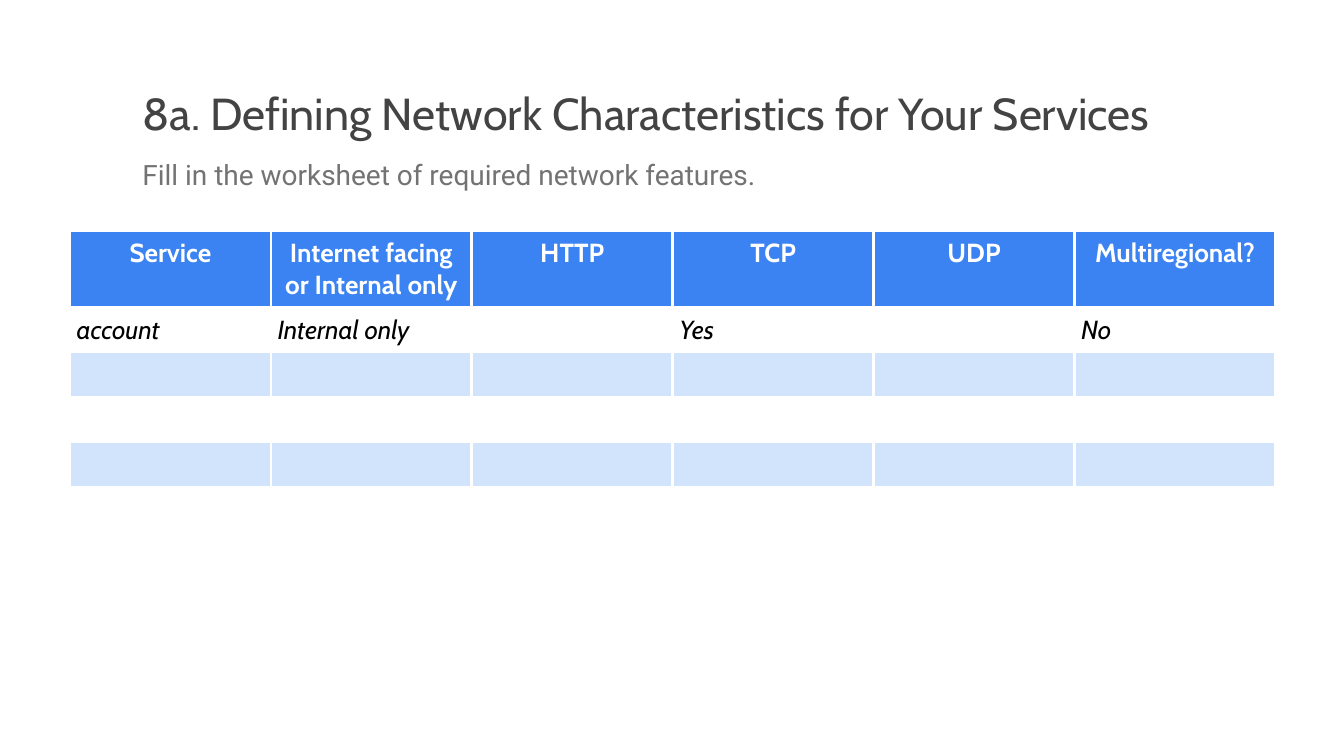
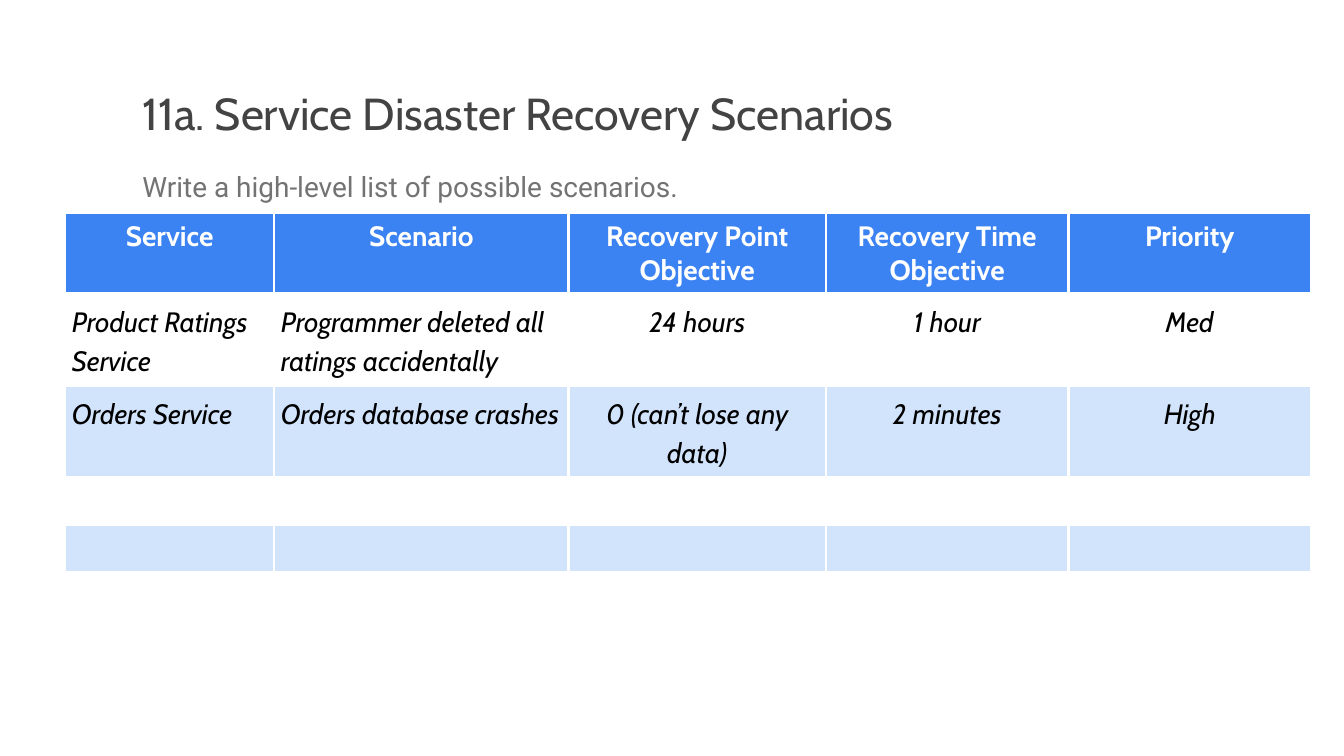
import pptx
import pptx.dml.color
import pptx.enum.text
import pptx.oxml
import pptx.oxml.ns
import pptx.util
from pptx.util import Inches

RGBColor = pptx.dml.color.RGBColor
Align = pptx.enum.text.PP_ALIGN

WHITE = RGBColor(0xFF, 0xFF, 0xFF)
BLACK = RGBColor(0x00, 0x00, 0x00)
TITLE_GRAY = RGBColor(0x43, 0x43, 0x43)
SUBTITLE_GRAY = RGBColor(0x73, 0x73, 0x73)
HEADER_BLUE = RGBColor(0x3B, 0x83, 0xF3)
BAND_BLUE = RGBColor(0xD2, 0xE3, 0xFC)

HEADING_FONT = "Cabin"
BODY_FONT = "Roboto"
MARGIN = Inches(0.1)
BORDER_WIDTH = pptx.util.Pt(3)


class Worksheet:
    def __init__(self, presentation):
        self.presentation = presentation
        self.slide = None

    def add_slide(self):
        self.slide = self.presentation.slides.add_slide(self.presentation.slide_layouts[6])

    def style(self, paragraph, size, color, font=HEADING_FONT, bold=False, italic=False):
        paragraph.font.name = font
        paragraph.font.size = pptx.util.Pt(size)
        paragraph.font.color.rgb = color
        paragraph.font.bold = bold
        paragraph.font.italic = italic

    def add_text(self, text, left, top, width, height):
        box = self.slide.shapes.add_textbox(Inches(left), Inches(top), Inches(width), Inches(height))
        frame = box.text_frame
        frame.word_wrap = True
        frame.margin_left = frame.margin_right = MARGIN
        frame.margin_top = frame.margin_bottom = MARGIN
        paragraph = frame.paragraphs[0]
        paragraph.text = text
        return paragraph

    def add_title(self, text, width):
        self.style(self.add_text(text, 2.02, 1.18, width, 1.18), 48, TITLE_GRAY)

    def add_subtitle(self, text, top, width, height):
        paragraph = self.add_text(text, 2.02, top, width, height)
        paragraph.line_spacing = 1.15
        paragraph.space_after = pptx.util.Pt(16)
        self.style(paragraph, 30, SUBTITLE_GRAY, BODY_FONT)

    def add_borders(self, cell):
        properties = cell._tc.get_or_add_tcPr()
        for index, side in enumerate(("lnL", "lnR", "lnT", "lnB")):
            properties.insert(index, pptx.oxml.parse_xml(
                f'<a:{side} {pptx.oxml.ns.nsdecls("a")} w="{BORDER_WIDTH}"><a:solidFill>'
                f'<a:srgbClr val="{WHITE}"/></a:solidFill></a:{side}>'))

    def fill_cell(self, cell, row_index):
        if row_index % 2 and row_index:
            cell.fill.background()
        else:
            cell.fill.solid()
            cell.fill.fore_color.rgb = BAND_BLUE if row_index else HEADER_BLUE

    def add_table(self, left, top, column_widths, row_heights, rows, size,
                  line_spacing=None, centered_columns=()):
        table = self.slide.shapes.add_table(
            len(row_heights), len(column_widths), Inches(left), Inches(top),
            Inches(sum(column_widths)), Inches(sum(row_heights))).table
        table.first_row = table.horz_banding = False
        for column, width in zip(table.columns, column_widths):
            column.width = Inches(width)
        for row_index, height in enumerate(row_heights):
            table.rows[row_index].height = Inches(height)
            texts = rows[row_index] if row_index < len(rows) else [""] * len(column_widths)
            for column_index, text in enumerate(texts):
                cell = table.cell(row_index, column_index)
                cell.margin_left = cell.margin_right = MARGIN
                cell.margin_top = cell.margin_bottom = MARGIN
                self.fill_cell(cell, row_index)
                self.add_borders(cell)
                if not text:
                    continue
                cell.text = text
                paragraph = cell.text_frame.paragraphs[0]
                header = row_index == 0
                self.style(paragraph, size, WHITE if header else BLACK,
                           bold=header, italic=not header)
                if header or column_index in centered_columns:
                    paragraph.alignment = Align.CENTER
                if line_spacing and not header:
                    paragraph.line_spacing = line_spacing


def main():
    presentation = pptx.Presentation()
    presentation.slide_width = Inches(20)
    presentation.slide_height = Inches(11.25)
    worksheet = Worksheet(presentation)

    worksheet.add_slide()
    worksheet.add_title("8a. Defining Network Characteristics for Your Services", 17.73)
    worksheet.add_subtitle("Fill in the worksheet of required network features.", 2.17, 13.66, 0.55)
    network_rows = [
        ["Service", "Internet facing or Internal only", "HTTP", "TCP", "UDP", "Multiregional?"],
        ["account", "Internal only", "", "Yes", "", "No"],
    ]
    worksheet.add_table(1.04, 3.43, [2.99] * 6, [1.14] + [0.67] * 5, network_rows, 28)

    worksheet.add_slide()
    worksheet.add_title("11a. Service Disaster Recovery Scenarios", 15.98)
    worksheet.add_subtitle("Write a high-level list of possible scenarios.", 2.35, 14.7, 0.8)
    recovery_rows = [
        ["Service", "Scenario", "Recovery Point Objective", "Recovery Time Objective", "Priority"],
        ["Product Ratings Service", "Programmer deleted all ratings accidentally",
         "24 hours", "1 hour", "Med"],
        ["Orders Service", "Orders database crashes", "0 (can’t lose any data)",
         "2 minutes", "High"],
    ]
    worksheet.add_table(0.97, 3.16, [3.11, 4.38, 3.83, 3.61, 3.61],
                        [1.21, 1.37, 1.37] + [0.7] * 3, recovery_rows, 30,
                        line_spacing=1.15, centered_columns=(2, 3, 4))

    presentation.save("out.pptx")


if __name__ == "__main__":
    main()
